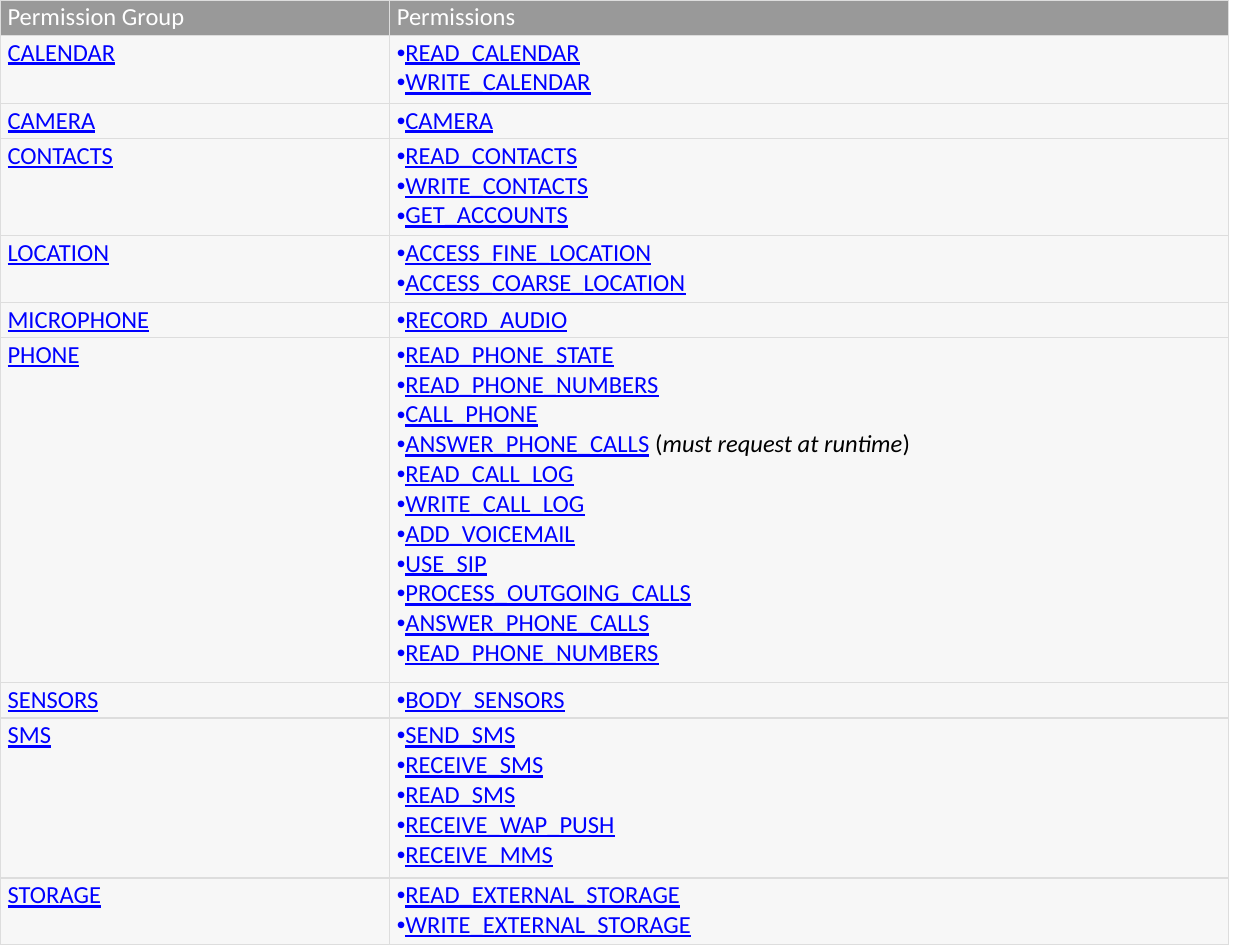
from dataclasses import dataclass, field

from lxml.etree import SubElement
from pptx import Presentation
from pptx.dml.color import RGBColor as RGB
from pptx.oxml.ns import qn
from pptx.util import Inches, Pt

COLORS = {"header": "999999", "body": "F7F7F7", "border": "DDDDDD",
          "white": "FFFFFF", "black": "000000", "link": "0000FF"}

HEADERS = ("Permission Group", "Permissions")
NOTES = {("PHONE", 3): ((" (", False), ("must request at runtime", True), (")", False))}
GROUPS = [
    ("CALENDAR", 0.54, ["READ_CALENDAR", "WRITE_CALENDAR"]),
    ("CAMERA", 0.28, ["CAMERA"]),
    ("CONTACTS", 0.77, ["READ_CONTACTS", "WRITE_CONTACTS", "GET_ACCOUNTS"]),
    ("LOCATION", 0.53, ["ACCESS_FINE_LOCATION", "ACCESS_COARSE_LOCATION"]),
    ("MICROPHONE", 0.28, ["RECORD_AUDIO"]),
    ("PHONE", 2.74, ["READ_PHONE_STATE", "READ_PHONE_NUMBERS", "CALL_PHONE",
                     "ANSWER_PHONE_CALLS", "READ_CALL_LOG", "WRITE_CALL_LOG",
                     "ADD_VOICEMAIL", "USE_SIP", "PROCESS_OUTGOING_CALLS",
                     "ANSWER_PHONE_CALLS", "READ_PHONE_NUMBERS"]),
    ("SENSORS", 0.28, ["BODY_SENSORS"]),
    ("SMS", 1.27, ["SEND_SMS", "RECEIVE_SMS", "READ_SMS", "RECEIVE_WAP_PUSH",
                   "RECEIVE_MMS"]),
    ("STORAGE", 0.53, ["READ_EXTERNAL_STORAGE", "WRITE_EXTERNAL_STORAGE"]),
]


@dataclass
class SlideBuilder:
    """Holds the style and the current slide, and adds table elements to it."""
    slide: object
    font: str = "Calibri"
    bullet_font: str = "Arial"
    size: float = 14
    border: float = 0.75
    colors: dict = field(default_factory=lambda: COLORS)

    def table(self, left, top, widths, heights):
        frame = self.slide.shapes.add_table(
            len(heights), len(widths), Inches(left), Inches(top),
            Inches(sum(widths)), Inches(sum(heights)))
        table = frame.table
        table.first_row = table.horz_banding = False
        for column, width in zip(table.columns, widths):
            column.width = Inches(width)
        for row, height in zip(table.rows, heights):
            row.height = Inches(height)
        return table

    def cell(self, cell, fill):
        cell.margin_left = cell.margin_right = Inches(0.06)
        cell.margin_top = cell.margin_bottom = Inches(0.02)
        tcPr = cell._tc.get_or_add_tcPr()
        for side in ("lnL", "lnR", "lnT", "lnB"):
            ln = SubElement(tcPr, qn(f"a:{side}"), w=str(Pt(self.border)))
            solid = SubElement(ln, qn("a:solidFill"))
            SubElement(solid, qn("a:srgbClr"), val=self.colors["border"])
        cell.fill.solid()
        cell.fill.fore_color.rgb = RGB.from_string(self.colors[fill])
        return cell.text_frame

    def run(self, p, text, color, underline=False, italic=False):
        r = p.add_run()
        r.text = text
        r.font.name, r.font.size = self.font, Pt(self.size)
        r.font.bold, r.font.italic, r.font.underline = False, italic, underline
        r.font.color.rgb = RGB.from_string(self.colors[color])

    def bullet(self, p):
        pPr = p._p.get_or_add_pPr()
        pPr.set("marL", "0")
        pPr.set("indent", "0")
        SubElement(pPr, qn("a:buFont"), typeface=self.bullet_font)
        SubElement(pPr, qn("a:buChar"), char="•")

    def permissions(self, tf, group, names):
        for i, name in enumerate(names):
            p = tf.add_paragraph() if i else tf.paragraphs[0]
            self.bullet(p)
            self.run(p, name, "link", underline=True)
            for text, italic in NOTES.get((group, i), ()):
                self.run(p, text, "black", italic=italic)


def main():
    prs = Presentation()
    prs.slide_width, prs.slide_height = Inches(10), Inches(7.5)
    s = SlideBuilder(prs.slides.add_slide(prs.slide_layouts[6]))

    heights = [0.28] + [height for _, height, _ in GROUPS]
    table = s.table(0, 0, [3.09, 6.66], heights)
    for col, header in enumerate(HEADERS):
        tf = s.cell(table.cell(0, col), "header")
        s.run(tf.paragraphs[0], header, "white")
    for row, (group, _, names) in enumerate(GROUPS, start=1):
        tf = s.cell(table.cell(row, 0), "body")
        s.run(tf.paragraphs[0], group, "link", underline=True)
        s.permissions(s.cell(table.cell(row, 1), "body"), group, names)

    prs.save("out.pptx")


if __name__ == "__main__":
    main()
